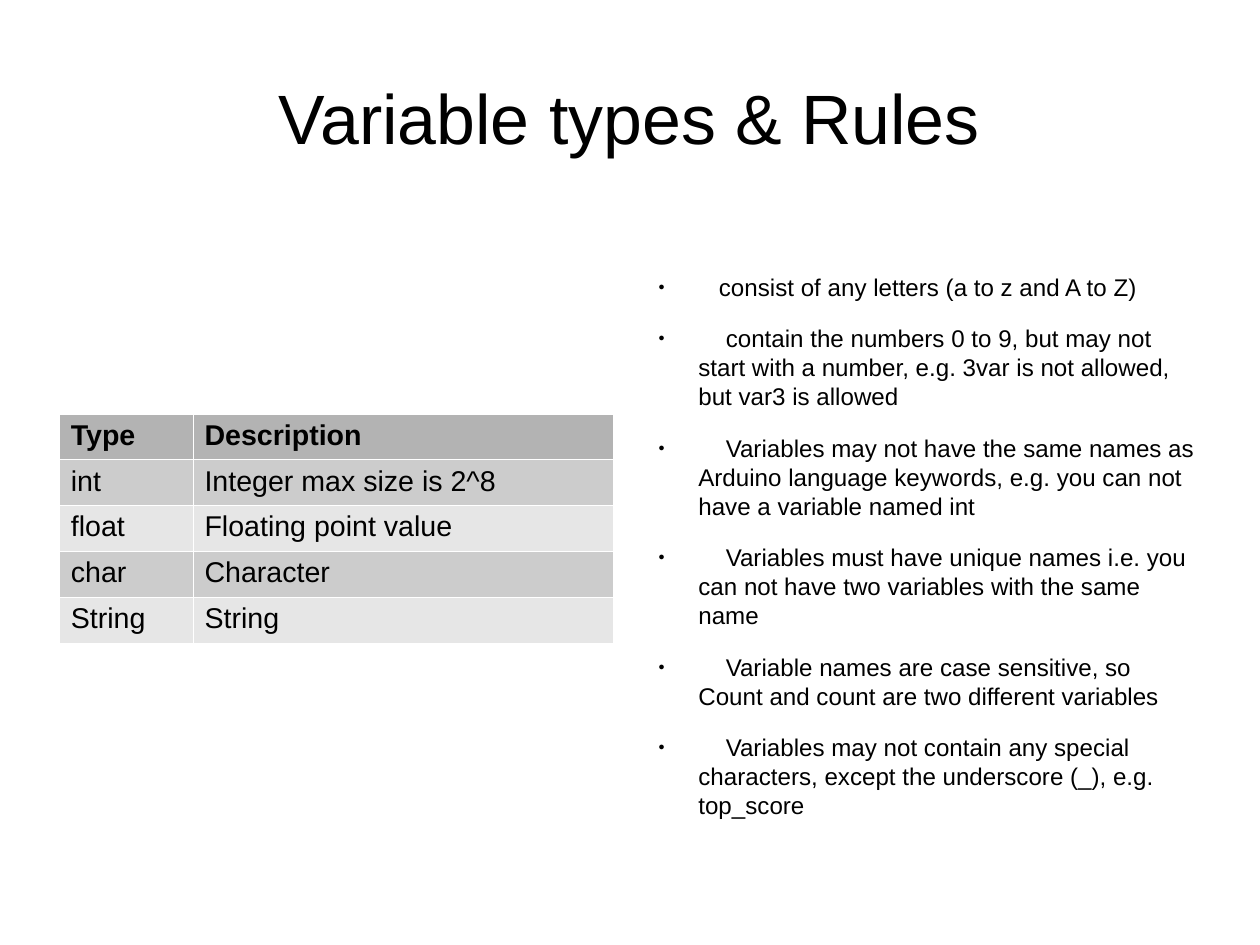
"""Build the slide on variable types and naming rules."""
from lxml import etree
from pptx import Presentation
from pptx.dml.color import RGBColor
from pptx.enum.text import MSO_ANCHOR, PP_ALIGN
from pptx.oxml import parse_xml
from pptx.oxml.ns import nsdecls, qn
from pptx.util import Inches, Pt

BLACK = RGBColor(0x00, 0x00, 0x00)
HEADER_GRAY = RGBColor(0xB3, 0xB3, 0xB3)
BAND_GRAYS = [RGBColor(0xE6, 0xE6, 0xE6), RGBColor(0xCC, 0xCC, 0xCC)]

TYPES = [
    ("Type", "Description"),
    ("int", "Integer max size is 2^8"),
    ("float", "Floating point value"),
    ("char", "Character"),
    ("String", "String"),
]
RULES = [
    "consist of any letters (a to z and A to Z)",
    "contain the numbers 0 to 9, but may not start with a number, e.g. 3var is not allowed, but var3 is allowed",
    "Variables may not have the same names as Arduino language keywords, e.g. you can not have a variable named int",
    "Variables must have unique names i.e. you can not have two variables with the same name",
    "Variable names are case sensitive, so Count and count are two different variables",
    "Variables may not contain any special characters, except the underscore (_), e.g. top_score",
]
CM_PER_INCH = 2.54
TEXT_INDENT = 0.47


def style(paragraph, size, bold=False):
    font = paragraph.font
    font.name, font.size, font.bold = "Arial", Pt(size), bold
    font.color.rgb = BLACK


def add_frame(left, top, width, height, inset_top=0):
    frame = page.shapes.add_textbox(Inches(left), Inches(top), Inches(width), Inches(height)).text_frame
    frame.word_wrap = True
    frame.margin_left = frame.margin_right = frame.margin_bottom = 0
    frame.margin_top = Inches(inset_top)
    return frame


deck = Presentation()
deck.slide_width = Inches(28 / CM_PER_INCH)
deck.slide_height = Inches(21 / CM_PER_INCH)
page = deck.slides.add_slide(deck.slide_layouts[6])

title = add_frame(0.55, 0.33, 9.92, 1.38)
title.vertical_anchor = MSO_ANCHOR.MIDDLE
heading = title.paragraphs[0]
heading.text = "Variable types & Rules"
heading.alignment = PP_ALIGN.CENTER
style(heading, 44)

table = page.shapes.add_table(
    len(TYPES), 2, Inches(0.52), Inches(3.62), Inches(4.84), Inches(0.4 * len(TYPES))
).table
for column, width in zip(table.columns, (1.17, 3.67)):
    column.width = Inches(width)
for row, texts in enumerate(TYPES):
    for column, text in enumerate(texts):
        cell = table.cell(row, column)
        cell.text = text
        style(cell.text_frame.paragraphs[0], 18, bold=row == 0)
        cell.margin_left = cell.margin_right = Inches(0.1)
        cell.margin_top = cell.margin_bottom = Inches(0.05)
        properties = cell._tc.get_or_add_tcPr()
        for side in ("lnL", "lnR", "lnT", "lnB"):
            border = etree.SubElement(properties, qn(f"a:{side}"), w="720")
            fill = etree.SubElement(border, qn("a:solidFill"))
            etree.SubElement(fill, qn("a:srgbClr"), val="FFFFFF")
        cell.fill.solid()
        cell.fill.fore_color.rgb = BAND_GRAYS[row % 2] if row else HEADER_GRAY

rules = add_frame(5.64, 1.93, 4.84, 4.79, inset_top=0.45)
for number, rule in enumerate(RULES):
    para = rules.paragraphs[0] if number == 0 else rules.add_paragraph()
    para.text = "\t" + rule
    para.line_spacing = Pt(18.25)
    para.space_before = Pt(14.2 if number else 0)
    properties = para._p.get_or_add_pPr()
    properties.set("marL", str(Inches(TEXT_INDENT)))
    properties.set("indent", str(Inches(-0.35)))
    offset = 0.24 if number else 0.18
    stops = "".join(
        f'<a:tab pos="{Inches(stop)}" algn="l"/>' for stop in (offset, TEXT_INDENT + offset)
    )
    for element in (
        '<a:buClr {}><a:srgbClr val="000000"/></a:buClr>',
        '<a:buSzPct {} val="45000"/>',
        '<a:buFont {} typeface="Arial"/>',
        '<a:buChar {} char="●"/>',
        "<a:tabLst {}>" + stops + "</a:tabLst>",
    ):
        properties.append(parse_xml(element.format(nsdecls("a"))))
    style(para, 15.2)

deck.save("out.pptx")
